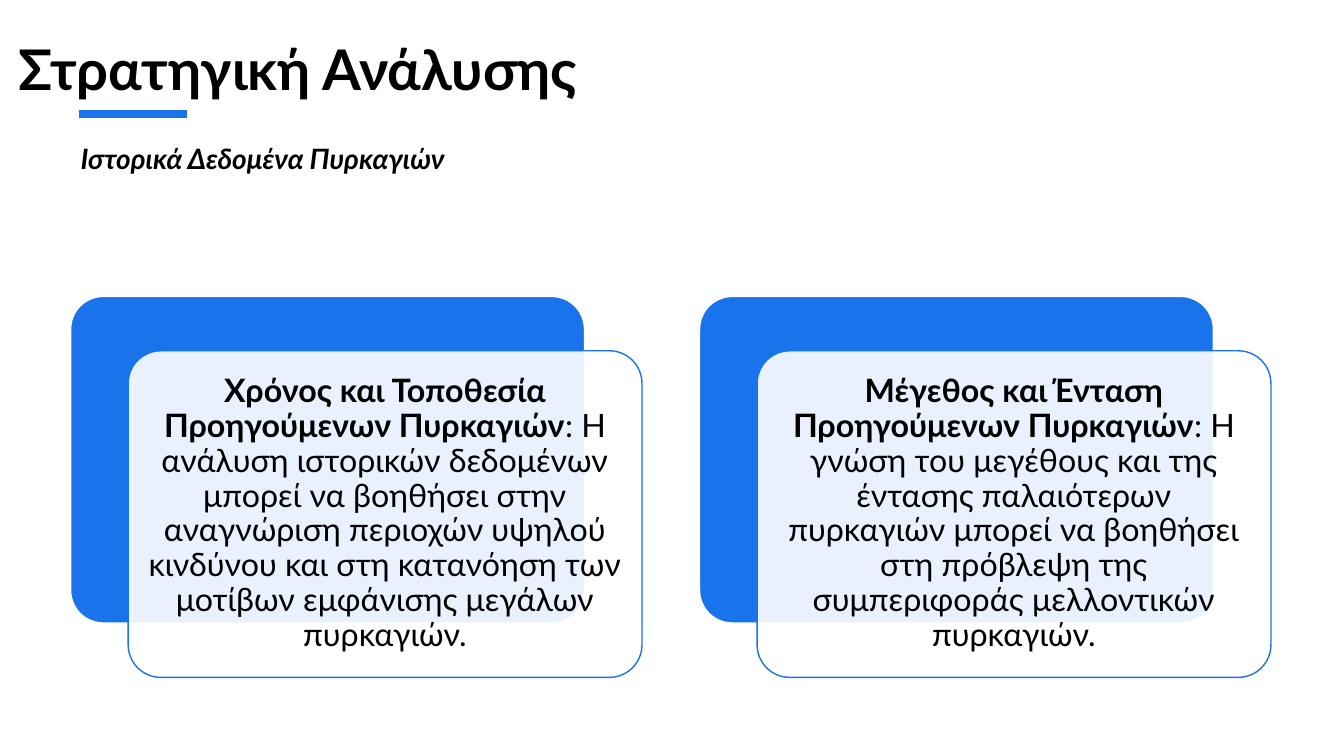
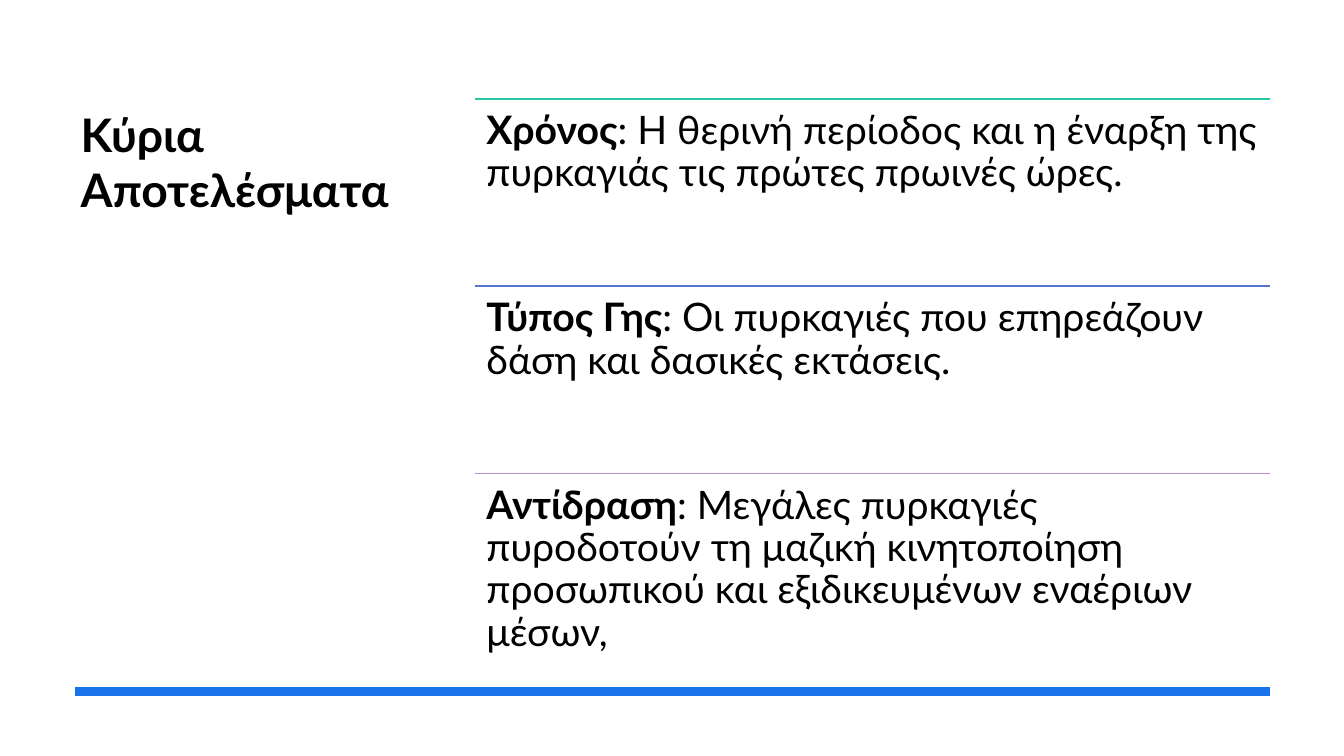
import pptx
import pptx.dml.color
import pptx.enum.shapes
import pptx.enum.text
import pptx.oxml.ns
import pptx.util
from lxml import etree

Cm = pptx.util.Cm
Pt = pptx.util.Pt
ALIGN = pptx.enum.text.PP_ALIGN
ANCHOR = pptx.enum.text.MSO_ANCHOR

FONT = "Lato"
COLORS = {
    "text": "000000",
    "paper": "FFFFFF",
    "accent": "1973EB",
    "time": "25C8A2",
    "land": "5775CF",
    "response": "BF8ED1",
}

CARDS = [
    ("Χρόνος και Τοποθεσία Προηγούμενων Πυρκαγιών",
     ": Η ανάλυση ιστορικών δεδομένων μπορεί να βοηθήσει στην αναγνώριση περιοχών "
     "υψηλού κινδύνου και στη κατανόηση των μοτίβων εμφάνισης μεγάλων πυρκαγιών."),
    ("Μέγεθος και Ένταση Προηγούμενων Πυρκαγιών",
     ": Η γνώση του μεγέθους και της έντασης παλαιότερων πυρκαγιών μπορεί να βοηθήσει "
     "στη πρόβλεψη της συμπεριφοράς μελλοντικών πυρκαγιών."),
]
FINDINGS = [
    ("time", "Χρόνος",
     ": H θερινή περίοδος και η έναρξη της πυρκαγιάς τις πρώτες πρωινές ώρες."),
    ("land", "Τύπος Γης",
     ": Οι πυρκαγιές που επηρεάζουν δάση και δασικές εκτάσεις."),
    ("response", "Αντίδραση",
     ": Μεγάλες πυρκαγιές πυροδοτούν τη μαζική κινητοποίηση προσωπικού και "
     "εξιδικευμένων εναέριων μέσων,"),
]


def rgb(name):
    return pptx.dml.color.RGBColor.from_string(COLORS[name])


def format_run(run, size, bold=False, italic=False):
    run.font.name = FONT
    run.font.size = Pt(size)
    run.font.bold = bold
    run.font.italic = italic
    run.font.color.rgb = rgb("text")


def set_insets(frame, inset):
    frame.margin_left = frame.margin_right = Cm(inset)
    frame.margin_top = frame.margin_bottom = Cm(inset)


def add_title_slide(prs, title, size, left, top, width, height):
    """Add a slide whose only placeholder is a left-aligned title; lengths in cm."""
    slide = prs.slides.add_slide(prs.slide_layouts.get_by_name("Title Only"))
    heading = slide.shapes.title
    heading.left, heading.top = Cm(left), Cm(top)
    heading.width, heading.height = Cm(width), Cm(height)
    frame = heading.text_frame
    frame.text = title
    frame.auto_size = pptx.enum.text.MSO_AUTO_SIZE.NONE
    frame.vertical_anchor = ANCHOR.TOP
    frame.paragraphs[0].alignment = ALIGN.LEFT
    format_run(frame.paragraphs[0].runs[0], size, bold=True)
    return slide


def add_rule(slide, left, right, y, color, weight):
    rule = slide.shapes.add_connector(
        pptx.enum.shapes.MSO_CONNECTOR.STRAIGHT, Cm(left), Cm(y), Cm(right), Cm(y))
    rule.line.color.rgb = rgb(color)
    rule.line.width = Pt(weight)
    etree.SubElement(rule._element.spPr, pptx.oxml.ns.qn("a:effectLst"))


def add_text_box(slide, left, top, width, height):
    frame = slide.shapes.add_textbox(Cm(left), Cm(top), Cm(width), Cm(height)).text_frame
    frame.word_wrap = True
    return frame


def write_statement(frame, term, explanation, size, alignment):
    """Write a bold term followed by its explanation in regular weight."""
    paragraph = frame.paragraphs[0]
    paragraph.alignment = alignment
    paragraph.line_spacing = 0.9
    for text, bold in ((term, True), (explanation, False)):
        run = paragraph.add_run()
        run.text = text
        format_run(run, size, bold)


def add_panel(slide, left, top, fill, outline, opacity=100):
    panel = slide.shapes.add_shape(
        pptx.enum.shapes.MSO_SHAPE.ROUNDED_RECTANGLE,
        Cm(left), Cm(top), Cm(12.95), Cm(8.23))
    panel.adjustments[0] = 0.1
    panel.shadow.inherit = False
    panel.fill.solid()
    panel.fill.fore_color.rgb = rgb(fill)
    panel.line.color.rgb = rgb(outline)
    panel.line.width = Pt(1)
    if opacity < 100:
        color = panel._element.spPr.find(".//" + pptx.oxml.ns.qn("a:srgbClr"))
        etree.SubElement(color, pptx.oxml.ns.qn("a:alpha"), val=str(opacity * 1000))
    return panel


def add_card(slide, left, top, term, explanation):
    """Add a solid panel with an offset translucent panel that carries the text."""
    add_panel(slide, left, top, "accent", "paper")
    front = add_panel(slide, left + 1.45, top + 1.37, "paper", "accent", opacity=90)
    frame = front.text_frame
    frame.word_wrap = True
    frame.vertical_anchor = ANCHOR.MIDDLE
    set_insets(frame, 0.25)
    write_statement(frame, term, explanation, 23, ALIGN.CENTER)


def add_finding(slide, top, height, color, term, explanation):
    left, width = 11.96, 20.04
    add_rule(slide, left, left + width, top, color, 1)
    frame = add_text_box(slide, left, top, width, height)
    set_insets(frame, 0.3)
    write_statement(frame, term, explanation, 28, ALIGN.LEFT)


def build_analysis(prs):
    slide = add_title_slide(prs, "Στρατηγική Ανάλυσης", 40, 0.2, 0.74, 30.25, 3.05)
    add_rule(slide, 1.98, 4.7, 2.87, "accent", 6)
    subtitle = add_text_box(slide, 1.78, 3.45, 12.85, 1.12)
    subtitle.text = "Ιστορικά Δεδομένα Πυρκαγιών"
    format_run(subtitle.paragraphs[0].runs[0], 20, bold=True, italic=True)
    for column, (term, explanation) in enumerate(CARDS):
        add_card(slide, 1.78 + column * 15.85, 7.47, term, explanation)


def build_results(prs):
    slide = add_title_slide(prs, "Κύρια Αποτελέσματα", 33, 1.78, 2.54, 8.33, 11.56)
    add_rule(slide, 1.88, 32, 17.42, "accent", 6)
    row_height = 4.72
    for row, finding in enumerate(FINDINGS):
        add_finding(slide, 2.49 + row * row_height, row_height, *finding)


def main():
    prs = pptx.Presentation()
    prs.slide_width, prs.slide_height = Cm(33.87), Cm(19.05)
    build_analysis(prs)
    build_results(prs)
    prs.save("out.pptx")


if __name__ == "__main__":
    main()
